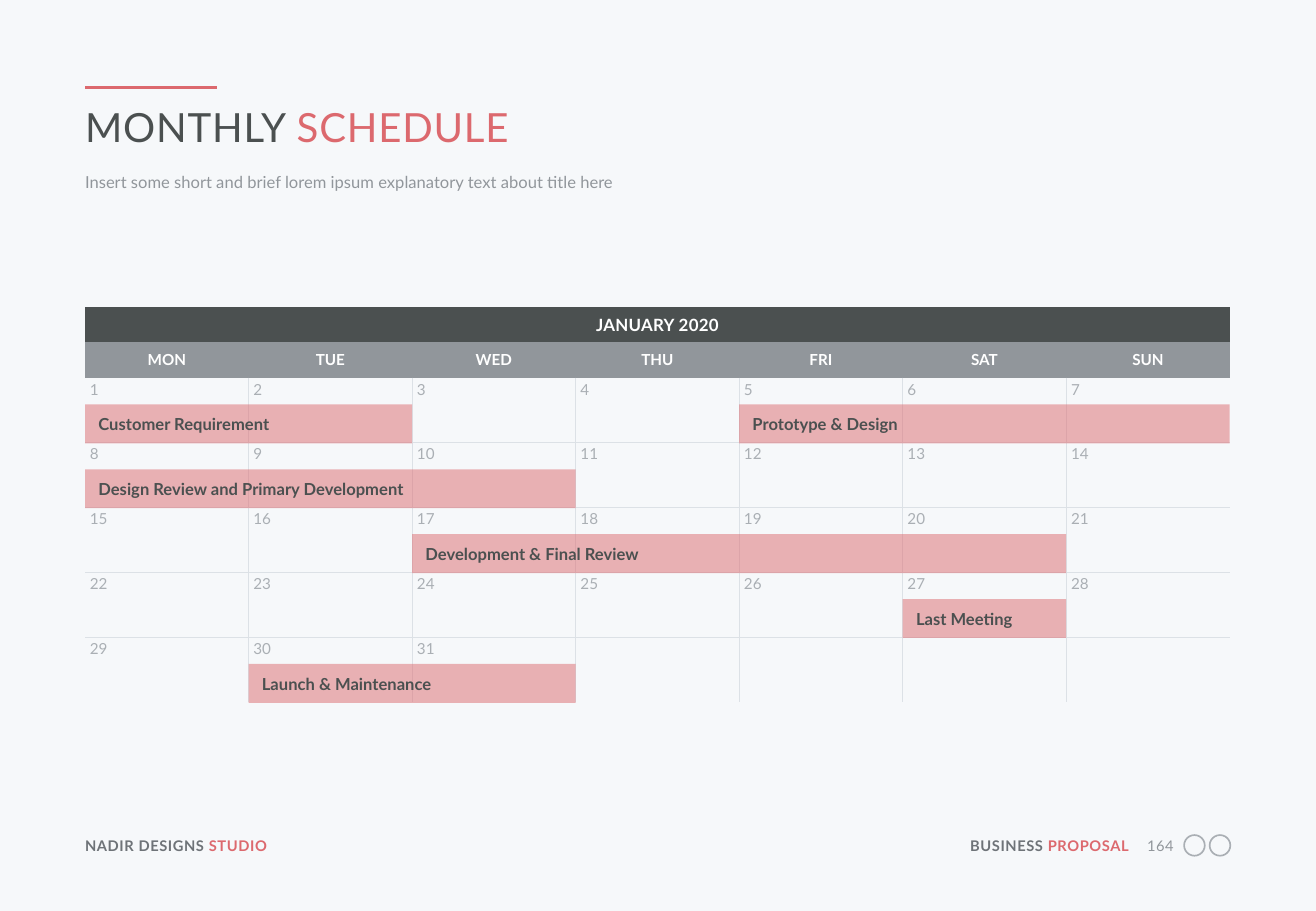
from pptx import Presentation
from pptx.dml.color import RGBColor
from pptx.enum.shapes import MSO_CONNECTOR, MSO_SHAPE
from pptx.enum.text import MSO_ANCHOR, PP_ALIGN
from pptx.oxml.ns import qn
from pptx.util import Inches, Pt
from lxml import etree

LEFT, CENTER, RIGHT = PP_ALIGN.LEFT, PP_ALIGN.CENTER, PP_ALIGN.RIGHT
TOP, MIDDLE = MSO_ANCHOR.TOP, MSO_ANCHOR.MIDDLE
NO_STYLE = "{2D5ABB26-0587-4C30-8999-92F81FD0307C}"
COLORS = {
    "page": "F6F8FA", "accent": "DC696E", "dark": "4B5050", "footer": "6E7378",
    "gray": "91969B", "light": "AAAFB4", "grid": "DCE1E6", "white": "FFFFFF",
}

# Calendar grid
MARGIN, GRID_TOP, GRID_WIDTH = 0.7, 2.53, 9.42
DAYS = ["MON", "TUE", "WED", "THU", "FRI", "SAT", "SUN"]
WEEKS, LAST_DAY = 5, 31
COLUMN = GRID_WIDTH / len(DAYS)
HEADER = 0.29
WEEK = (3.25 - 2 * HEADER) / WEEKS


def rgb(name):
    return RGBColor.from_string(COLORS[name])


def write(frame, parts, size, bold=False, align=LEFT, anchor=TOP, spacing=0,
          insets=(0, 0, 0, 0)):
    """Fill a text frame with one paragraph of (text, color) parts."""
    frame.word_wrap = True
    frame.vertical_anchor = anchor
    (frame.margin_left, frame.margin_top,
     frame.margin_right, frame.margin_bottom) = map(Inches, insets)
    para = frame.paragraphs[0]
    para.alignment = align
    para.font.name, para.font.size, para.font.bold = "Lato", Pt(size), bold
    for text, color in parts:
        span = para.add_run()
        span.text = text
        span.font.color.rgb = rgb(color)
        if spacing:
            span._r.get_or_add_rPr().set("spc", str(round(spacing * 100)))
    return para


deck = Presentation()
deck.slide_width, deck.slide_height = Inches(10.83), Inches(7.5)
page = deck.slides.add_slide(deck.slide_layouts[5])
page.background.fill.solid()
page.background.fill.fore_color.rgb = rgb("page")
shapes = page.shapes

# Accent rule above the title
rule = shapes.add_connector(MSO_CONNECTOR.STRAIGHT, Inches(MARGIN), Inches(0.72),
                            Inches(1.79), Inches(0.72))
rule.line.color.rgb = rgb("accent")
rule.line.width = Pt(2.25)
etree.SubElement(rule._element.spPr, qn("a:effectLst"))

# Title and subtitle
title = shapes.title
title.left, title.top = Inches(MARGIN), Inches(0.84)
title.width, title.height = Inches(GRID_WIDTH), Inches(0.41)
write(title.text_frame, [("MONTHLY ", "dark"), ("SCHEDULE", "accent")], 23.8, spacing=0.5)

subtitle = shapes.add_textbox(Inches(MARGIN), Inches(1.4), Inches(GRID_WIDTH), Inches(0.21))
intro = "Insert some short and brief lorem ipsum explanatory text about title here"
write(subtitle.text_frame, [(intro, "gray")], 9.8).line_spacing = Pt(13)

# Calendar table
table = shapes.add_table(2 + WEEKS, len(DAYS), Inches(MARGIN), Inches(GRID_TOP),
                         Inches(GRID_WIDTH), Inches(3.25)).table
table.first_row = table.horz_banding = False
table._tbl.tblPr.find(qn("a:tableStyleId")).text = NO_STYLE
for column in table.columns:
    column.width = Inches(COLUMN)
for index, row in enumerate(table.rows):
    row.height = Inches(HEADER if index < 2 else WEEK)
table.cell(0, 0).merge(table.cell(0, len(DAYS) - 1))

for r in range(2 + WEEKS):
    for c, day in enumerate(DAYS):
        cell = table.cell(r, c)
        number = (r - 2) * len(DAYS) + c + 1
        if r == 0:
            text, size = ("JANUARY 2020" if c == 0 else ""), 10
        elif r == 1:
            text, size = day, 9
        else:
            text, size = (str(number) if number <= LAST_DAY else ""), 9
        header = r < 2
        write(cell.text_frame, [(text, "white" if header else "light")] if text else [],
              size, bold=header, align=CENTER if header else LEFT,
              spacing=0.2 if r == 0 else 0)
        cell.vertical_anchor = MIDDLE if header else TOP
        cell.margin_left = cell.margin_right = Inches(0.04)
        cell.margin_top = cell.margin_bottom = Inches(0.02)
        if header:
            cell.fill.solid()
            cell.fill.fore_color.rgb = rgb("dark" if r == 0 else "gray")
            continue
        # Inner grid lines only
        borders = {"lnL": c > 0, "lnR": c < len(DAYS) - 1,
                   "lnT": r > 2, "lnB": r < 1 + WEEKS}
        properties = cell._tc.get_or_add_tcPr()
        for tag in [side for side, shown in borders.items() if shown]:
            line = etree.SubElement(properties, qn(f"a:{tag}"), w=str(Pt(0.5)))
            paint = etree.SubElement(line, qn("a:solidFill"))
            etree.SubElement(paint, qn("a:srgbClr"), val=COLORS["grid"])
        cell.fill.background()

# Task bars: label, week, first day column, days
TASKS = [
    ("Customer Requirement", 0, 0, 2),
    ("Prototype & Design", 0, 4, 3),
    ("Development & Final Review", 2, 2, 4),
    ("Design Review and Primary Development", 1, 0, 3),
    ("Launch & Maintenance", 4, 1, 2),
    ("Last Meeting", 3, 5, 1),
]
for label, week, first, days in TASKS:
    bar = shapes.add_shape(
        MSO_SHAPE.RECTANGLE, Inches(MARGIN + first * COLUMN),
        Inches(GRID_TOP + 2 * HEADER + week * WEEK + 0.22),
        Inches(days * COLUMN), Inches(0.32))
    bar.shadow.inherit = False
    bar.fill.solid()
    bar.fill.fore_color.rgb = rgb("accent")
    tint = bar._element.spPr.find(qn("a:solidFill"))[0]
    etree.SubElement(tint, qn("a:alpha"), val="50000")
    bar.line.fill.background()
    write(bar.text_frame, [(label, "dark")], 9.8, bold=True, anchor=MIDDLE,
          insets=(0.11, 0, 0, 0))

# Footer: left, width, parts, bold, alignment
FOOTER = [
    (MARGIN, 2.11, [("NADIR DESIGNS ", "footer"), ("STUDIO", "accent")], True, LEFT),
    (7.92, 1.37, [("BUSINESS ", "footer"), ("PROPOSAL", "accent")], True, RIGHT),
    (9.41, 0.25, [("164", "gray")], False, RIGHT),
]
for left, width, parts, bold, align in FOOTER:
    box = shapes.add_textbox(Inches(left), Inches(6.89), Inches(width), Inches(0.15))
    write(box.text_frame, parts, 8.7, bold=bold, align=align, spacing=0.3)

# Previous and next buttons: ring center, direction of the chevron
RING, MID_Y = 0.17, 6.96
for mid_x, direction in [(9.83, -1), (10.04, 1)]:
    ring = shapes.add_shape(MSO_SHAPE.OVAL, Inches(mid_x - RING / 2),
                            Inches(MID_Y - RING / 2), Inches(RING), Inches(RING))
    tail = mid_x - 0.02 * direction
    builder = shapes.build_freeform(tail, MID_Y - 0.04, scale=Inches(1))
    builder.add_line_segments([(mid_x + 0.02 * direction, MID_Y), (tail, MID_Y + 0.04)],
                              close=False)
    chevron = builder.convert_to_shape()
    for part, weight in [(ring, 1), (chevron, 1.5)]:
        part.shadow.inherit = False
        part.fill.background()
        part.line.color.rgb = rgb("light")
        part.line.width = Pt(weight)

deck.save("out.pptx")
